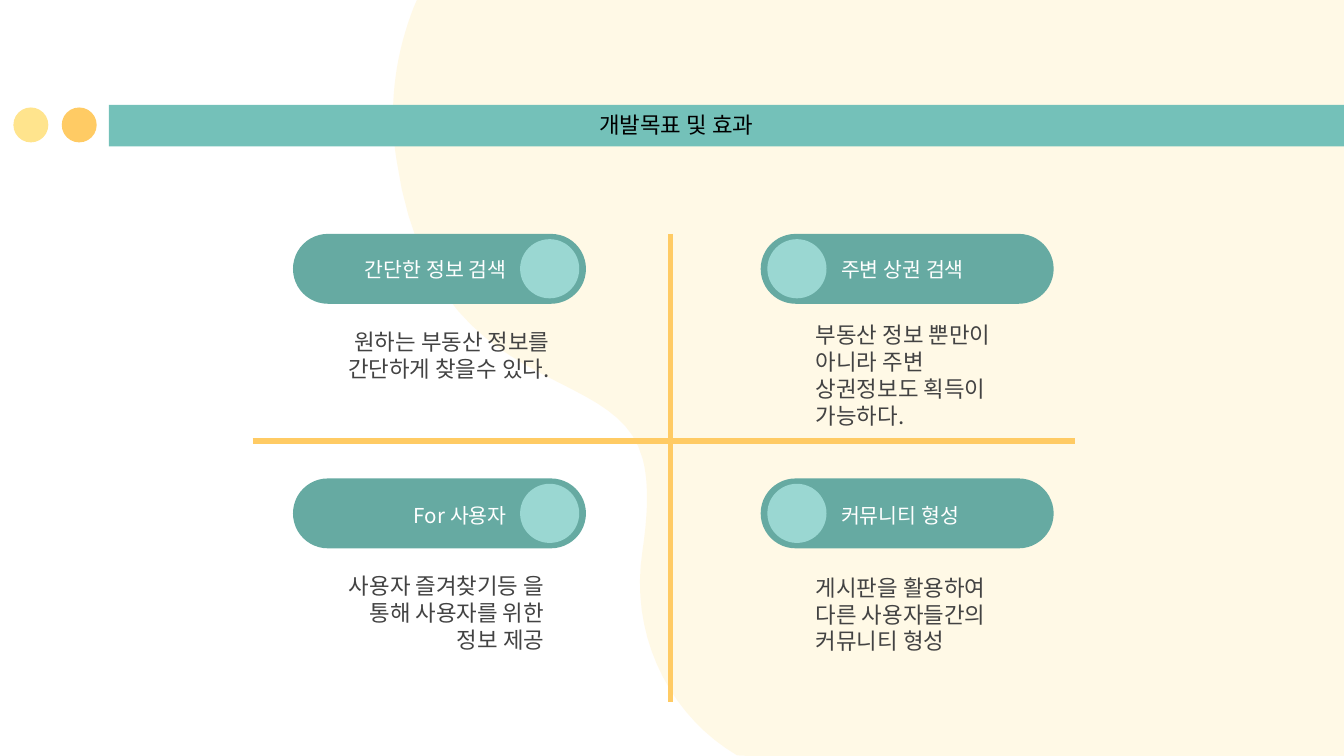
"""Build a slide on development goals as four labelled cards around a cross."""
import pptx
import pptx.util
import pptx.dml.color
import pptx.enum.shapes
import pptx.enum.text
import pptx.oxml
import pptx.oxml.ns
import lxml.etree

TITLE = "개발목표 및 효과"
CARDS = [
    dict(col=0, row=0, label="간단한 정보 검색", body="원하는 부동산 정보를 간단하게 찾을수 있다.", at=(2.47, 2.43)),
    dict(col=1, row=0, label="주변 상권 검색", body="부동산 정보 뿐만이 아니라 주변 상권정보도 획득이 가능하다.", at=(6.07, 2.38)),
    dict(col=0, row=1, label="For 사용자", body="사용자 즐겨찾기등 을 통해 사용자를 위한 정보 제공", at=(2.43, 4.25)),
    dict(col=1, row=1, label="커뮤니티 형성", body="게시판을 활용하여 다른 사용자들간의 커뮤니티 형성", at=(6.07, 4.26)),
]
THEME = dict(font="Noto Sans CJK KR", title=12, label=11, body=12, black="000000", text="434343",
             white="FFFFFF", band="74C1B9", pill="66AAA2", knob="9AD7D2", gold="FFCB64", cream="FFE48D")
W = 10
H = W * 9 / 16
PILL_X, PILL_Y, PILL_W, PILL_H = (2.18, 5.66), (1.74, 3.56), 2.18, 0.52
KNOB, INSET, LABEL_W, LABEL_H, DOT = 0.44, 0.05, 1.44, 0.34, 0.26
BLOB_START = (3.28, -0.35)
BLOB_CURVES = [
    ((3.01, 0.09), (2.86, 0.62), (2.95, 1.19)),
    ((3.22, 3.02), (4.58, 2.66), (4.78, 3.41)),
    ((4.83, 3.59), (4.82, 3.83), (4.78, 4.1)),
    ((4.64, 5), (5.31, 5.81), (6.18, 5.81)),
]
RIGHT, LEFT = pptx.enum.text.PP_ALIGN.RIGHT, pptx.enum.text.PP_ALIGN.LEFT
TOP, BOTTOM = pptx.enum.text.MSO_ANCHOR.TOP, pptx.enum.text.MSO_ANCHOR.BOTTOM
SHAPE = pptx.enum.shapes.MSO_SHAPE
inch = pptx.util.Inches
qn = pptx.oxml.ns.qn


def rgb(name):
    return pptx.dml.color.RGBColor.from_string(THEME[name])


def paint(sp, color):
    sp.shadow.inherit = False
    sp.fill.solid()
    sp.fill.fore_color.rgb = rgb(color)
    sp.line.fill.background()
    return sp


def add_shape(s, kind, x, y, w, h, color):
    return paint(s.shapes.add_shape(kind, inch(x), inch(y), inch(w), inch(h)), color)


def add_text(s, text, x, y, w, h, size="body", color="text", align=LEFT, anchor=TOP, insets=(0.1, 0.1, 0.1, 0.1)):
    tf = s.shapes.add_textbox(inch(x), inch(y), inch(w), inch(h)).text_frame
    tf.word_wrap, tf.vertical_anchor = True, anchor
    tf.margin_left, tf.margin_top, tf.margin_right, tf.margin_bottom = map(inch, insets)
    p = tf.paragraphs[0]
    p.alignment = align
    r = p.add_run()
    r.text = text
    r.font.size, r.font.name, r.font.color.rgb = pptx.util.Pt(THEME[size]), THEME["font"], rgb(color)
    r.font._element.set("kern", "0")
    lxml.etree.SubElement(r.font._element, qn("a:ea"), typeface=THEME["font"])


def add_line(s, x1, y1, x2, y2):
    line = s.shapes.add_connector(pptx.enum.shapes.MSO_CONNECTOR.STRAIGHT, inch(x1), inch(y1), inch(x2), inch(y2))
    line.line.color.rgb, line.line.width = rgb("gold"), pptx.util.Pt(3)
    lxml.etree.SubElement(line._element.spPr, qn("a:effectLst"))


def bezier(a, b, c, d, steps=24):
    for i in range(1, steps + 1):
        t = i / steps
        u = 1 - t
        yield tuple(u**3 * e + 3 * u * u * t * f + 3 * u * t * t * g + t**3 * h for e, f, g, h in zip(a, b, c, d))


def add_blob(s):
    points = [BLOB_START]
    for curve in BLOB_CURVES:
        points += list(bezier(points[-1], *curve))
    points = [(x, min(max(y, 0), H)) for x, y in points] + [(W, H), (W, 0)]
    points = [(inch(x), inch(y)) for x, y in points]
    fb = s.shapes.build_freeform(*points[0])
    fb.add_line_segments(points[1:], close=True)
    sp = paint(fb.convert_to_shape(), "cream")
    clr = sp._element.spPr.find(qn("a:solidFill"))[0]
    lxml.etree.SubElement(clr, qn("a:alpha"), val="21000")


def add_card(s, col, row, label, body, at):
    x, y, align = PILL_X[col], PILL_Y[row], (RIGHT, LEFT)[col]
    knob_x = x + (INSET if col else PILL_W - INSET - KNOB)
    label_x = knob_x + (KNOB + 0.01 if col else -LABEL_W)
    pill = add_shape(s, SHAPE.ROUNDED_RECTANGLE, x, y, PILL_W, PILL_H, "pill")
    pill.adjustments[0] = 0.5
    add_shape(s, SHAPE.OVAL, knob_x, y + (PILL_H - KNOB) / 2, KNOB, KNOB, "knob")
    add_text(s, label, label_x, y + (0.08, 0.09)[row], LABEL_W, LABEL_H, size="label", color="white", align=align)
    add_text(s, body, *at, 1.62, 0.62, align=align, insets=(0, 0.01, 0.04 * col, 0))


prs = pptx.Presentation()
prs.slide_width, prs.slide_height = inch(W), inch(H)
s = prs.slides.add_slide(prs.slide_layouts[6])
add_blob(s)
add_shape(s, SHAPE.RECTANGLE, 0.81, 0.78, W - 0.81, 0.31, "band")
for x, color in ((0.46, "gold"), (0.1, "cream")):
    add_shape(s, SHAPE.OVAL, x, 0.8, DOT, DOT, color)
add_text(s, TITLE, 4.36, 0.79, 5.48, 0.34, size="title", color="black", anchor=BOTTOM)
for card in CARDS:
    add_card(s, **card)
add_line(s, 1.88, 3.28, 8, 3.28)
add_line(s, 4.99, 1.74, 4.99, 5.22)
prs.save("out.pptx")
